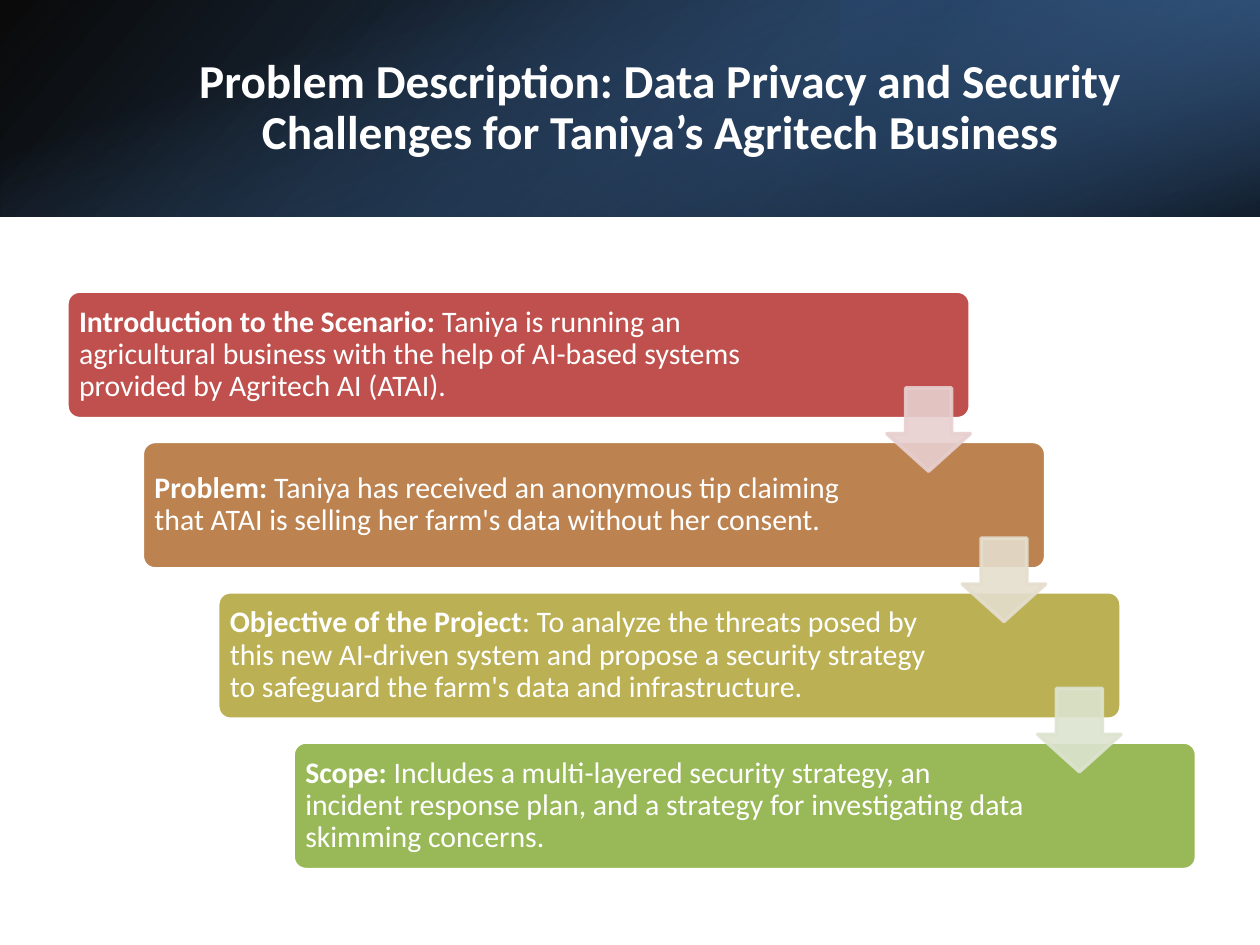
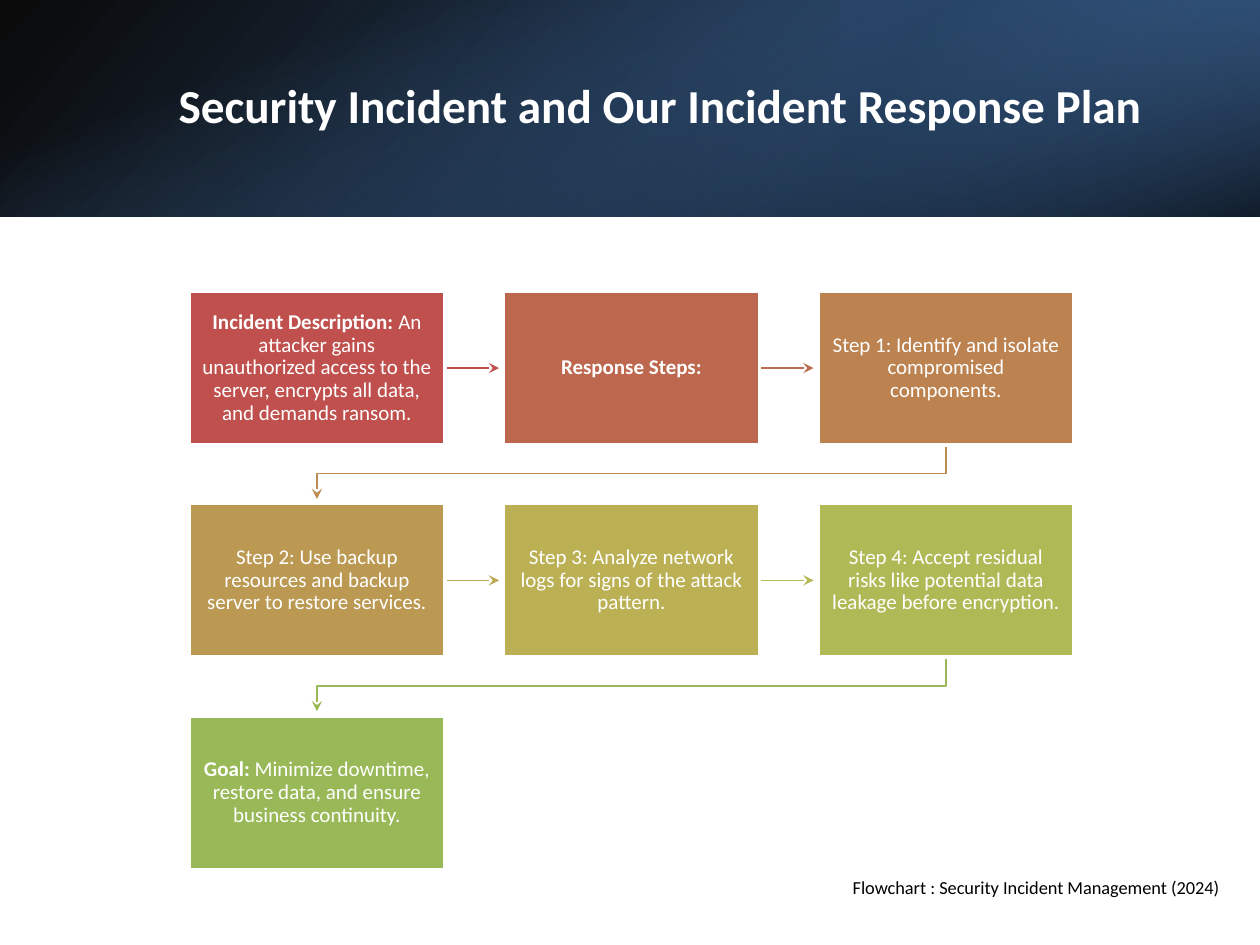
from lxml import etree
from pptx import Presentation
from pptx.dml.color import RGBColor
from pptx.enum import shapes, text
from pptx.oxml.ns import qn
from pptx.util import Cm, Pt

COLORS = {
    "white": "FFFFFF", "black": "000000", "navy": "244061",
    "steel": "366092", "blue": "4F81BD",
    "red": "BF504D", "rust": "BD684E", "orange": "BC8250",
    "ochre": "BB9952", "olive": "BBB054", "lime": "AFBA56", "green": "99B958",
    "pale red": "E7CFCF", "pale orange": "E5DECE", "pale green": "DCE4CF",
    "red link": "BF504D", "rust link": "BD6D4F", "orange link": "BC8B51",
    "ochre link": "BBA754", "lime link": "B4BA55", "green link": "99B958",
}
FONT = "Calibri"
SHAPE = shapes.MSO_SHAPE
ALIGN = text.PP_ALIGN

BAND = [
    (0, 0, 25.4, 4.37, 0, True, 140,
     [(0, "black", 96), (100, "steel", 100)]),
    (16.94, 0, 8.46, 4.37, 180, True, 320,
     [(0, "navy", 68), (19, "navy", 68), (100, "blue", 79)]),
    (10.52, -10.52, 4.37, 25.4, 90, False, 340,
     [(0, "blue", 0), (23, "blue", 0), (99, "black", 74), (100, "black", 74)]),
]
TITLES = [
    "Problem Description: Data Privacy and Security Challenges for Taniya’s Agritech Business",
    "Security Incident and Our Incident Response Plan",
]
STAGES = [
    ("red", "Introduction to the Scenario: ",
     "Taniya is running an agricultural business with the help of AI-based systems provided by Agritech AI (ATAI)."),
    ("orange", "Problem: ",
     "Taniya has received an anonymous tip claiming that ATAI is selling her farm's data without her consent."),
    ("olive", "Objective of the Project",
     ": To analyze the threats posed by this new AI-driven system and propose a security strategy to safeguard the farm's data and infrastructure."),
    ("green", "Scope: ",
     "Includes a multi-layered security strategy, an incident response plan, and a strategy for investigating data skimming concerns."),
]
STEPS = [
    ("red", "Incident Description:",
     " An attacker gains unauthorized access to the server, encrypts all data, and demands ransom."),
    ("rust", "Response Steps:", ""),
    ("orange", "", "Step 1: Identify and isolate compromised components."),
    ("ochre", "", "Step 2: Use backup resources and backup server to restore services."),
    ("olive", "", "Step 3: Analyze network logs for signs of the attack pattern."),
    ("lime", "", "Step 4: Accept residual risks like potential data leakage before encryption."),
    ("green", "Goal:", " Minimize downtime, restore data, and ensure business continuity."),
]


def paint(shape, fill, line):
    shape.shadow.inherit = False
    shape.fill.solid()
    shape.fill.fore_color.rgb = RGBColor.from_string(COLORS[fill])
    shape.line.color.rgb = RGBColor.from_string(COLORS[line])
    shape.line.width = Pt(2)


def write(shape, lead, body, size, align, color="white", spacing=0.9):
    frame = shape.text_frame
    frame.word_wrap = True
    para = frame.paragraphs[0]
    para.alignment = align
    para.line_spacing = spacing
    for words, bold in ((lead, True), (body, False)):
        if words:
            span = para.add_run()
            span.text = words
            span.font.name = FONT
            span.font.size = Pt(size)
            span.font.bold = bold
            span.font.color.rgb = RGBColor.from_string(COLORS[color])
    return frame


deck = Presentation()
deck.slide_width, deck.slide_height = Cm(25.4), Cm(19.05)
pages = []
for heading in TITLES:
    page = deck.slides.add_slide(deck.slide_layouts[5])
    pages.append(page)
    for left, top, width, height, turn, flipped, angle, stops in BAND:
        layer = page.shapes.add_shape(SHAPE.RECTANGLE, Cm(left), Cm(top), Cm(width), Cm(height))
        layer.shadow.inherit = False
        layer.line.fill.background()
        layer.rotation = turn
        if flipped:
            layer._element.spPr.xfrm.set("flipH", "1")
        layer.fill.gradient()
        gradient = layer._element.spPr.find(qn("a:gradFill"))
        gradient.find(qn("a:lin")).set("ang", str(angle * 60000))
        stop_list = gradient.find(qn("a:gsLst"))
        stop_list.clear()
        for position, color, opacity in stops:
            stop = etree.SubElement(stop_list, qn("a:gs"), pos=str(position * 1000))
            tint = etree.SubElement(stop, qn("a:srgbClr"), val=COLORS[color])
            etree.SubElement(tint, qn("a:alpha"), val=str(opacity * 1000))
    title = page.shapes.title
    title.left, title.top, title.width, title.height = Cm(2.84), Cm(0.97), Cm(20.93), Cm(2.44)
    write(title, heading, "", 27, ALIGN.CENTER).vertical_anchor = text.MSO_ANCHOR.MIDDLE
    page.shapes._spTree.append(title._element)

scenario, response = pages

SHIFT, DROP = 1.52, 3.03
for i, (color, lead, body) in enumerate(STAGES):
    box = scenario.shapes.add_shape(
        SHAPE.ROUNDED_RECTANGLE, Cm(1.35 + i * SHIFT), Cm(5.87 + i * DROP), Cm(18.21), Cm(2.57))
    box.adjustments[0] = 0.1
    paint(box, color, "white")
    frame = write(box, lead, body, 17, ALIGN.LEFT)
    frame.vertical_anchor = text.MSO_ANCHOR.MIDDLE
    frame.margin_left = frame.margin_top = frame.margin_bottom = Cm(0.17)
    frame.margin_right = Cm(3.35)

for i, color in enumerate(("pale red", "pale orange", "pale green")):
    arrow = scenario.shapes.add_shape(
        SHAPE.DOWN_ARROW, Cm(17.88 + i * SHIFT), Cm(7.82 + i * DROP), Cm(1.68), Cm(1.68))
    arrow.adjustments[0], arrow.adjustments[1] = 0.55, 0.45
    paint(arrow, color, color)
    for tint in arrow._element.spPr.iter(qn("a:srgbClr")):
        etree.SubElement(tint, qn("a:alpha"), val="90000")

COLUMNS, BOX_W, BOX_H, LINK = 3, 5.16, 3.1, 1.09
LEFTS = [3.81 + 6.34 * column for column in range(COLUMNS)]
TOPS = [5.87 + 4.28 * row for row in range(3)]

for i, color in enumerate(("red", "rust", "orange", "ochre", "lime", "green")):
    row, column = divmod(i, COLUMNS)
    left, top = LEFTS[column], TOPS[row]
    if column < COLUMNS - 1:
        start, middle = left + BOX_W, top + BOX_H / 2
        link = response.shapes.add_connector(
            shapes.MSO_CONNECTOR.STRAIGHT, Cm(start), Cm(middle), Cm(start + LINK), Cm(middle))
        etree.SubElement(link._element.spPr, qn("a:effectLst"))
    else:
        start, end, bottom = left + BOX_W / 2, LEFTS[0] + BOX_W / 2, top + BOX_H
        bend = bottom + 0.58
        builder = response.shapes.build_freeform(Cm(start), Cm(bottom))
        builder.add_line_segments(
            [(Cm(start), Cm(bend)), (Cm(end), Cm(bend)), (Cm(end), Cm(bottom + LINK))], close=False)
        link = builder.convert_to_shape()
        link.shadow.inherit = False
        link.fill.background()
    link.line.color.rgb = RGBColor.from_string(COLORS[color + " link"])
    link.line.width = Pt(0.75)
    etree.SubElement(link.line._get_or_add_ln(), qn("a:tailEnd"), type="stealth")

for i, (color, lead, body) in enumerate(STEPS):
    row, column = divmod(i, COLUMNS)
    box = response.shapes.add_shape(
        SHAPE.RECTANGLE, Cm(LEFTS[column]), Cm(TOPS[row]), Cm(BOX_W), Cm(BOX_H))
    paint(box, color, "white")
    frame = write(box, lead, body, 12, ALIGN.CENTER)
    frame.vertical_anchor = text.MSO_ANCHOR.MIDDLE
    frame.margin_left = frame.margin_right = frame.margin_top = frame.margin_bottom = Cm(0.25)

caption = response.shapes.add_textbox(Cm(16.94), Cm(17.53), Cm(8.3), Cm(0.71))
write(caption, "", "Flowchart : Security Incident Management (2024)", 10.5, ALIGN.LEFT, "black", 1.0)

deck.save("out.pptx")
